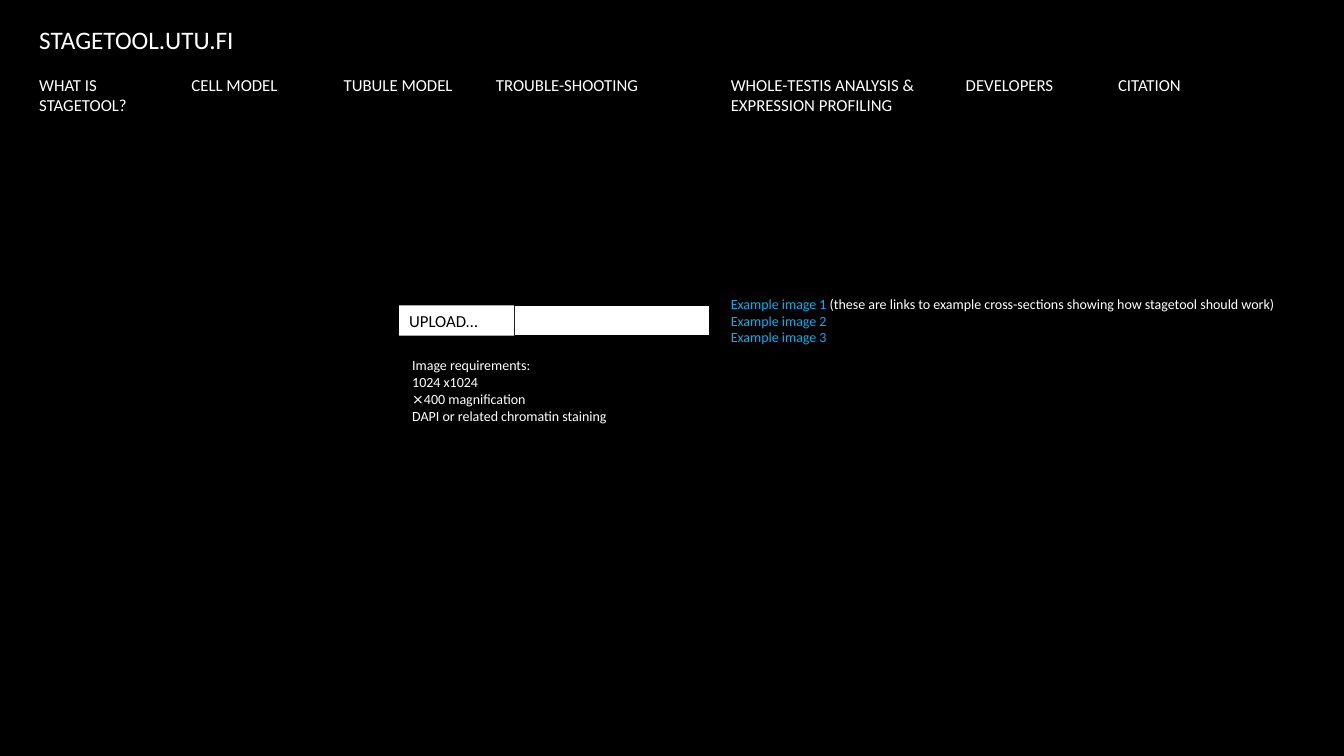
from dataclasses import dataclass
from itertools import accumulate

from pptx import Presentation
from pptx.dml.color import RGBColor
from pptx.enum.shapes import MSO_SHAPE
from pptx.enum.text import MSO_ANCHOR, MSO_AUTO_SIZE, PP_ALIGN
from pptx.shapes.autoshape import Shape
from pptx.slide import Slide
from pptx.util import Inches, Pt

BLACK = RGBColor(0x00, 0x00, 0x00)
WHITE = RGBColor(0xFF, 0xFF, 0xFF)
LINK_BLUE = RGBColor(0x00, 0xB0, 0xF0)

FONT = "Calibri"
COLUMN = Inches(0.1)
ROW = Inches(0.1)

MARGIN = 2.9
NARROW = 15.1
WIDE = 23.3
MENU_TOP = 6.9
UPLOAD_TOP = 30.3
BUTTON_LEFT = 39.6
BUTTON_WIDTH = 11.4
FIELD_WIDTH = 19.4
LINE_HEIGHT = 3


@dataclass(frozen=True)
class Area:
    column: float
    row: float
    columns: float
    rows: float

    def box(self) -> tuple[int, int, int, int]:
        return (
            round(self.column * COLUMN),
            round(self.row * ROW),
            round(self.columns * COLUMN),
            round(self.rows * ROW),
        )


@dataclass(frozen=True)
class Span:
    text: str
    color: RGBColor = WHITE


@dataclass(frozen=True)
class MenuItem:
    label: str
    columns: float = NARROW
    rows: float = LINE_HEIGHT


MENU = [
    MenuItem("WHAT IS STAGETOOL?", rows=5),
    MenuItem("CELL MODEL"),
    MenuItem("TUBULE MODEL"),
    MenuItem("TROUBLE-SHOOTING", WIDE),
    MenuItem("WHOLE-TESTIS ANALYSIS & EXPRESSION PROFILING", WIDE, 5),
    MenuItem("DEVELOPERS"),
    MenuItem("CITATION"),
]
MENU_COLUMNS = list(accumulate((item.columns for item in MENU), initial=MARGIN))

REQUIREMENTS = [
    "Image requirements:",
    "1024 x1024",
    "⨯400 magnification",
    "DAPI or related chromatin staining",
]

EXAMPLES = [
    [
        Span("Example image 1 ", LINK_BLUE),
        Span("(these are links to example cross-sections showing how stagetool should work)"),
    ],
    [Span("Example image 2", LINK_BLUE)],
    [Span("Example image 3", LINK_BLUE)],
]


def write(target: Shape, lines: list[list[Span]], size: int) -> None:
    frame = target.text_frame
    frame.word_wrap = True
    frame.auto_size = MSO_AUTO_SIZE.SHAPE_TO_FIT_TEXT
    frame.vertical_anchor = MSO_ANCHOR.TOP
    for index, spans in enumerate(lines):
        paragraph = frame.add_paragraph() if index else frame.paragraphs[0]
        paragraph.alignment = PP_ALIGN.LEFT
        paragraph.font.name = FONT
        paragraph.font.size = Pt(size)
        for span in spans:
            run = paragraph.add_run()
            run.text = span.text
            if len(spans) > 1:
                run.font.color.rgb = span.color
            else:
                paragraph.font.color.rgb = span.color


def add_text(slide: Slide, area: Area, lines: list[list[Span]], size: int) -> None:
    write(slide.shapes.add_textbox(*area.box()), lines, size)


def add_white_bar(slide: Slide, area: Area) -> Shape:
    bar = slide.shapes.add_shape(MSO_SHAPE.RECTANGLE, *area.box())
    bar.shadow.inherit = False
    bar.fill.solid()
    bar.fill.fore_color.rgb = WHITE
    bar.line.fill.background()
    return bar


def add_menu(slide: Slide) -> None:
    for item, column in zip(MENU, MENU_COLUMNS):
        area = Area(column, MENU_TOP, item.columns, item.rows)
        add_text(slide, area, [[Span(item.label)]], 12)


def add_upload(slide: Slide) -> None:
    field_left = BUTTON_LEFT + BUTTON_WIDTH
    field = add_white_bar(slide, Area(field_left, UPLOAD_TOP, FIELD_WIDTH, LINE_HEIGHT))
    field.line.color.rgb = BLACK
    field.line.width = Pt(0.75)
    button = add_white_bar(slide, Area(BUTTON_LEFT, UPLOAD_TOP, BUTTON_WIDTH, LINE_HEIGHT))
    write(button, [[Span("UPLOAD…", BLACK)]], 12)


def main() -> None:
    deck = Presentation()
    deck.slide_width = Inches(13.33)
    deck.slide_height = Inches(7.5)
    slide = deck.slides.add_slide(deck.slide_layouts[6])
    slide.background.fill.solid()
    slide.background.fill.fore_color.rgb = BLACK

    add_text(slide, Area(MARGIN, 1.9, 50, 4), [[Span("STAGETOOL.UTU.FI")]], 18)
    add_menu(slide)
    add_upload(slide)
    add_text(slide, Area(39.9, 34.9, 30.5, 7.7), [[Span(line)] for line in REQUIREMENTS], 10)
    add_text(slide, Area(MENU_COLUMNS[4], 28.8, 59.9, 6.1), EXAMPLES, 10)
    deck.save("out.pptx")


if __name__ == "__main__":
    main()
